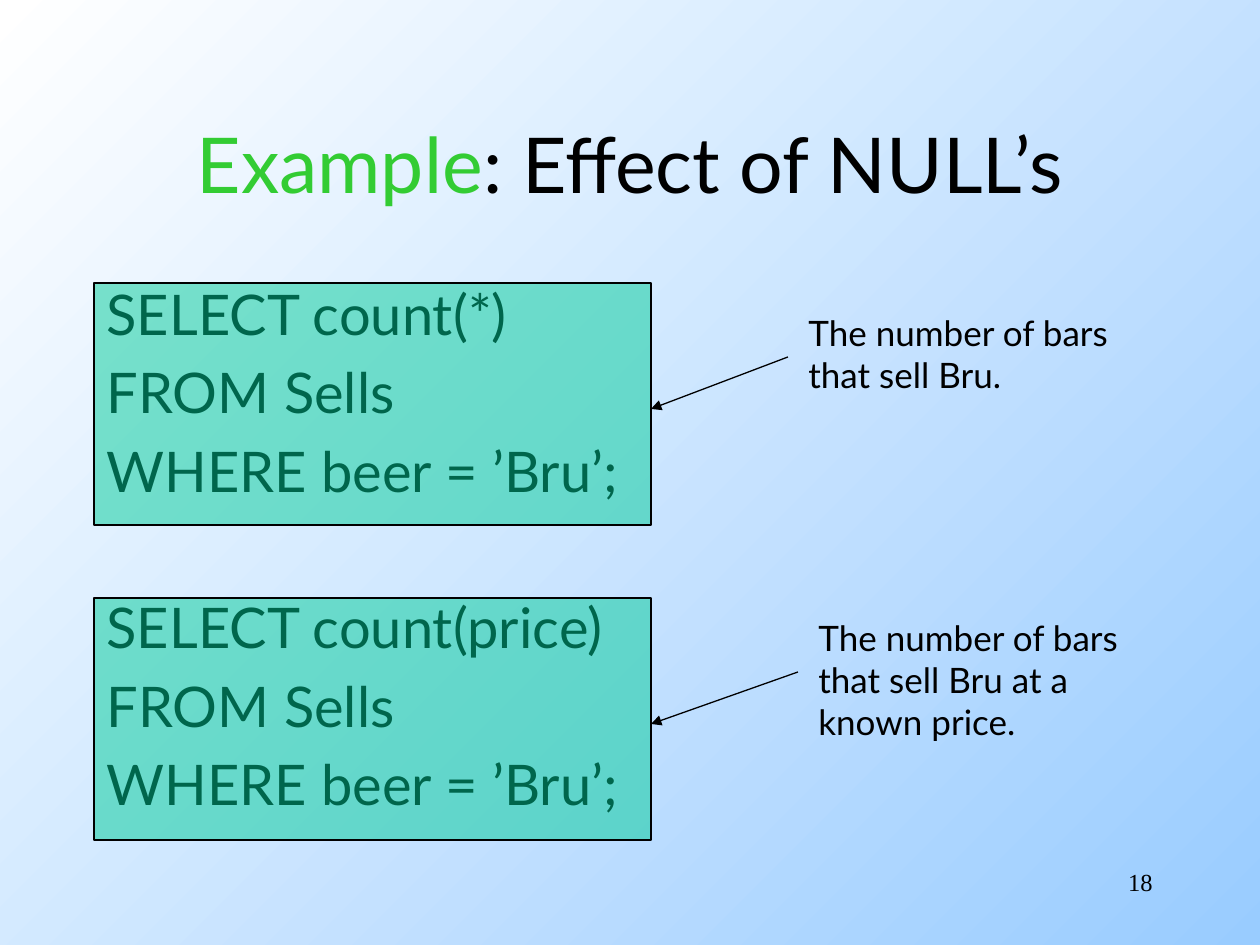
from dataclasses import dataclass

from lxml import etree
from pptx import Presentation
from pptx.dml.color import RGBColor
from pptx.enum.shapes import MSO_CONNECTOR, MSO_SHAPE
from pptx.enum.text import MSO_ANCHOR, MSO_AUTO_SIZE, PP_ALIGN
from pptx.oxml.ns import qn
from pptx.util import Pt

RECTANGLE = MSO_SHAPE.RECTANGLE
STRAIGHT = MSO_CONNECTOR.STRAIGHT
MIDDLE = MSO_ANCHOR.MIDDLE
NO_FIT = MSO_AUTO_SIZE.NONE
GROW = MSO_AUTO_SIZE.SHAPE_TO_FIT_TEXT
CENTER, LEFT, RIGHT = PP_ALIGN.CENTER, PP_ALIGN.LEFT, PP_ALIGN.RIGHT
PX = 914400 // 126


@dataclass(frozen=True)
class Theme:
    ink: RGBColor = RGBColor(0, 0, 0)
    accent: RGBColor = RGBColor(0x33, 0xCC, 0x33)
    panel: RGBColor = RGBColor(0x00, 0xCC, 0x99)
    sky_start: RGBColor = RGBColor(0xFF, 0xFF, 0xFF)
    sky_end: RGBColor = RGBColor(0x99, 0xCC, 0xFF)
    face: str = "Lato"
    number_face: str = "Times New Roman"
    title: int = 44
    query: int = 32
    remark: int = 20
    number: int = 14
    line: float = 0.75


theme = Theme()


def px(*lengths):
    return [length * PX for length in lengths]


def style(paragraph, size, align=LEFT, face=theme.face):
    paragraph.alignment = align
    paragraph.font.size = Pt(size)
    paragraph.font.name = face
    paragraph.font.color.rgb = theme.ink


prs = Presentation()
prs.slide_width, prs.slide_height = px(1260, 945)
slide = prs.slides.add_slide(prs.slide_layouts[1])

# Background
sky = slide.background.fill
sky.gradient()
sky.gradient_angle = 315
for stop, color in zip(sky.gradient_stops, (theme.sky_start, theme.sky_end)):
    stop.color.rgb = color

# Title
title = slide.shapes.title
title.left, title.top, title.width, title.height = px(94, 84, 1072, 158)
title.text_frame.vertical_anchor = MIDDLE
title.text_frame.auto_size = NO_FIT
heading = title.text_frame.paragraphs[0]
style(heading, theme.title, CENTER)
lead = heading.add_run()
lead.text = "Example"
lead.font.color.rgb = theme.accent
heading.add_run().text = ": Effect of NULL’s"

# Queries
queries = slide.placeholders[1]
queries.left, queries.top, queries.width, queries.height = px(94, 273, 1072, 567)
queries.text_frame.auto_size = NO_FIT
filters = ["FROM Sells", "WHERE beer = ’Bru’;"]
queries.text_frame.text = "\n".join(
    ["SELECT count(*)", *filters, "SELECT count(price)", *filters])
line_gap = 0.2 * theme.query
query_pitch = 1.2 * theme.query + line_gap
for index, line in enumerate(queries.text_frame.paragraphs):
    style(line, theme.query)
    # The second query starts one line lower
    line.space_before = Pt(line_gap + (query_pitch if index == 3 else 0))
    properties = line._p.get_or_add_pPr()
    properties.set("marL", str(48 * PX))
    properties.set("indent", str(-48 * PX))
    properties.insert_element_before(
        etree.Element(qn("a:buNone")), "a:tabLst", "a:defRPr", "a:extLst")

# Panels with their remarks: panel top, remark left, top and height, arrow start, text
callouts = [
    (283, 796, 305, 97, 788, "The number of bars\nthat sell Bru."),
    (598, 806, 610, 139, 798, "The number of bars\nthat sell Bru at a\nknown price."),
]
for top, remark_left, remark_top, remark_height, arrow_start, words in callouts:
    callout = slide.shapes.add_group_shape().shapes

    panel = callout.add_shape(RECTANGLE, *px(94, top, 557, 242))
    panel.shadow.inherit = False
    panel.fill.solid()
    panel.fill.fore_color.rgb = theme.panel
    tint = panel.fill._xPr.find(".//" + qn("a:srgbClr"))
    etree.SubElement(tint, qn("a:alpha"), val="50000")
    panel.line.color.rgb = theme.ink
    panel.line.width = Pt(theme.line)

    remark = callout.add_textbox(*px(remark_left, remark_top, 331, remark_height))
    remark.text_frame.word_wrap = False
    remark.text_frame.auto_size = GROW
    remark.text_frame.text = words
    for line in remark.text_frame.paragraphs:
        style(line, theme.remark)

    arrow = callout.add_connector(STRAIGHT, *px(arrow_start, top + 74, 651, top + 126))
    arrow.line.color.rgb = theme.ink
    arrow.line.width = Pt(theme.line)
    etree.SubElement(arrow.line._get_or_add_ln(), qn("a:tailEnd"), type="triangle")
    etree.SubElement(arrow._element.spPr, qn("a:effectLst"))

# Slide number
number = slide.shapes.add_textbox(*px(903, 861, 262, 63))
number.text_frame.word_wrap = True
number.text_frame.text = "18"
style(number.text_frame.paragraphs[0], theme.number, RIGHT, theme.number_face)

prs.save("out.pptx")
